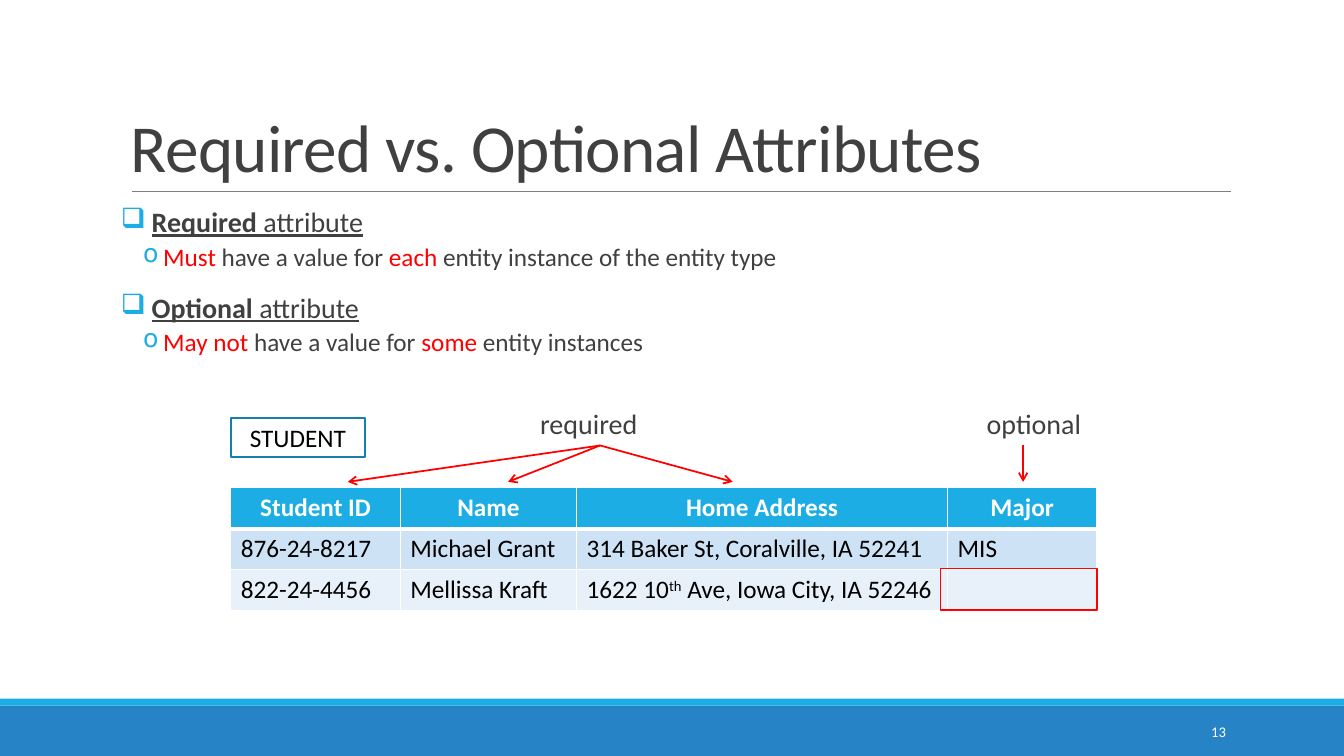
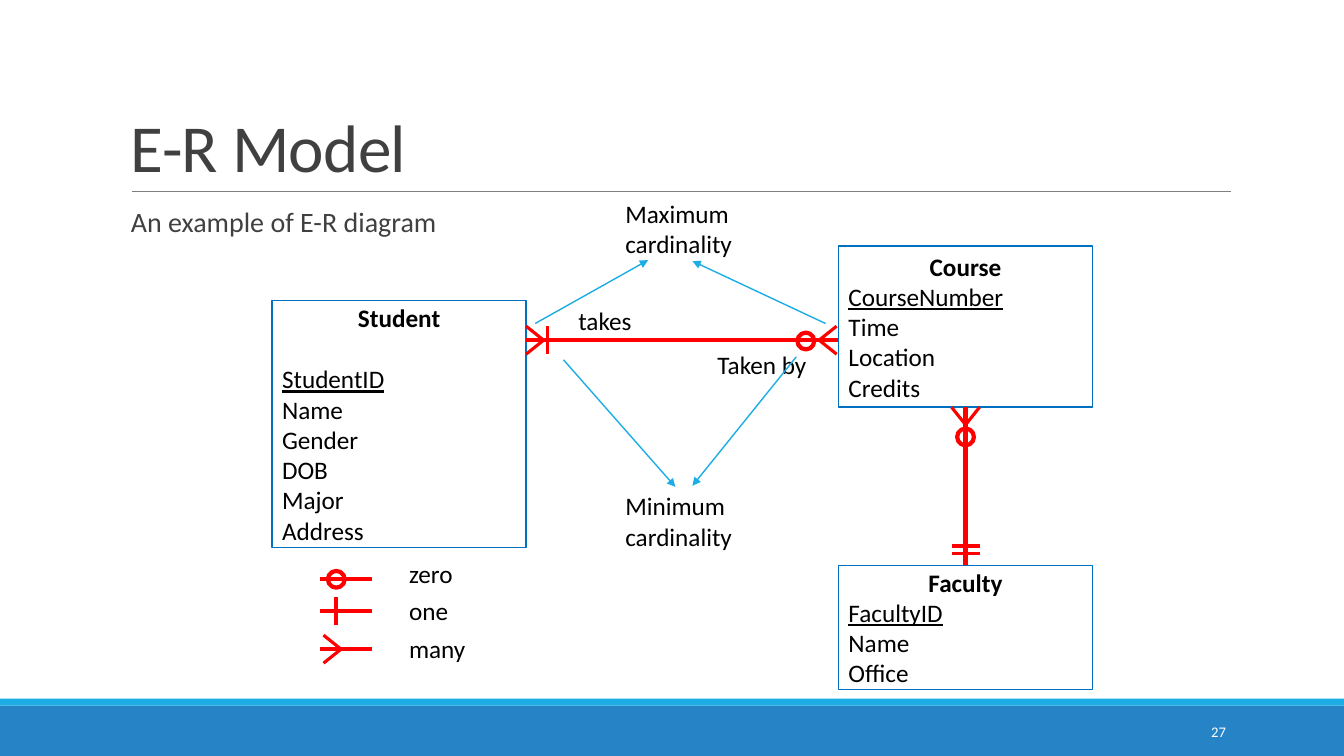
"""Build two slides on attributes and the E-R model."""
from lxml.etree import SubElement
from pptx import Presentation
from pptx.dml.color import RGBColor
from pptx.enum.shapes import MSO_CONNECTOR, MSO_SHAPE
from pptx.enum.text import MSO_ANCHOR, PP_ALIGN
from pptx.oxml.ns import qn
from pptx.util import Pt

COLORS = {
    "white": "FFFFFF", "black": "000000", "text": "404040", "rule": "808080",
    "band": "2683C6", "accent": "1CADE4", "accent_dark": "1580A9",
    "entity": "0070C0", "red": "FF0000", "row_odd": "CDE3F5", "row_even": "E8F1FA",
}


def rgb(name):
    return RGBColor.from_string(COLORS[name])


class Deck:
    """Hold the shared style and the current slide."""

    font = "Calibri"

    def __init__(self):
        self.presentation = Presentation()
        self.presentation.slide_width = Pt(960)
        self.presentation.slide_height = Pt(540)
        self.slide = None

    def new_slide(self, title, number):
        layout = self.presentation.slide_layouts[6]
        self.slide = self.presentation.slides.add_slide(layout)
        self.box(0, 504, 960, 36, fill="band")
        self.box(0, 499, 960, 5, fill="accent")
        self.line(94.3, 136.8, 879.1, 136.8, "rule", 0.5)
        heading = self.text([title], 86.4, 22.3, 792, 114.5, 48, "text", MSO_ANCHOR.BOTTOM)
        paragraph = heading.text_frame.paragraphs[0]
        paragraph.line_spacing = 0.85
        paragraph.runs[0]._r.get_or_add_rPr().set("spc", "-50")
        footer = self.text([str(number)], 779.8, 508.3, 103, 28.8, 10.5, "white", MSO_ANCHOR.MIDDLE)
        footer.text_frame.paragraphs[0].alignment = PP_ALIGN.RIGHT

    def set_runs(self, paragraph, content, size, color):
        """Set a string or (text, flags) pairs: b bold, u underline, r red, ^ superscript."""
        pieces = [(content, "")] if isinstance(content, str) else content
        paragraph.text = pieces[0][0]
        for piece, _ in pieces[1:]:
            paragraph.add_run().text = piece
        for run, (_, flags) in zip(paragraph.runs, pieces):
            run.font.name = self.font
            run.font.size = Pt(size)
            run.font.bold = "b" in flags
            run.font.underline = "u" in flags
            run.font.color.rgb = rgb("red" if "r" in flags else color)
            if "^" in flags:
                run._r.get_or_add_rPr().set("baseline", "30000")

    def fill_frame(self, frame, contents, size, color, anchor):
        frame.word_wrap = True
        frame.vertical_anchor = anchor
        for index, content in enumerate(contents):
            paragraph = frame.add_paragraph() if index else frame.paragraphs[0]
            paragraph.alignment = PP_ALIGN.LEFT
            self.set_runs(paragraph, content, size, color)

    def text(self, contents, left, top, width, height, size, color, anchor=MSO_ANCHOR.TOP):
        shape = self.slide.shapes.add_textbox(Pt(left), Pt(top), Pt(width), Pt(height))
        self.fill_frame(shape.text_frame, contents, size, color, anchor)
        return shape

    def label(self, contents, left, top, size=18, color="black"):
        height = 1.22 * size * len(contents) + 7.2
        return self.text(contents, left, top, 100, height, size, color)

    def box(self, left, top, width, height, fill=None, line=None, weight=1.25,
            kind=MSO_SHAPE.RECTANGLE):
        shape = self.slide.shapes.add_shape(kind, Pt(left), Pt(top), Pt(width), Pt(height))
        shape.shadow.inherit = False
        if fill:
            shape.fill.solid()
            shape.fill.fore_color.rgb = rgb(fill)
        else:
            shape.fill.background()
        if line:
            shape.line.color.rgb = rgb(line)
            shape.line.width = Pt(weight)
        else:
            shape.line.fill.background()
        return shape

    def line(self, x1, y1, x2, y2, color, weight, arrow=None):
        connector = self.slide.shapes.add_connector(
            MSO_CONNECTOR.STRAIGHT, Pt(x1), Pt(y1), Pt(x2), Pt(y2))
        connector.line.color.rgb = rgb(color)
        connector.line.width = Pt(weight)
        if arrow:
            SubElement(connector.line._get_or_add_ln(), qn("a:tailEnd"), type=arrow)
        SubElement(connector._element.spPr, qn("a:effectLst"))
        return connector

    def bullets(self, items, left, top, width, height):
        """Add (level, pieces) items as a two-level bullet list."""
        styles = [("❑", 22, 22, 20, 12, 2), ("o", 30.2, 14.4, 18, 2, 4)]
        shape = self.text([], left, top, width, height, 20, "text")
        frame = shape.text_frame
        frame.margin_left = frame.margin_right = 0
        for index, (level, pieces) in enumerate(items):
            mark, margin, hanging, size, before, after = styles[level]
            paragraph = frame.add_paragraph() if index else frame.paragraphs[0]
            properties = paragraph._p.get_or_add_pPr()
            properties.set("marL", str(Pt(margin)))
            properties.set("indent", str(-Pt(hanging)))
            bullet_color = SubElement(properties, qn("a:buClr"))
            SubElement(bullet_color, qn("a:srgbClr"), val=COLORS["accent"])
            SubElement(properties, qn("a:buChar"), char=mark)
            paragraph.line_spacing = 0.9
            paragraph.space_before = Pt(before if index else 0)
            paragraph.space_after = Pt(after)
            self.set_runs(paragraph, pieces, size, "text")

    def table(self, rows, left, top, widths, row_height):
        shape = self.slide.shapes.add_table(
            len(rows), len(widths), Pt(left), Pt(top), Pt(sum(widths)), Pt(row_height * len(rows)))
        table = shape.table
        table.horz_banding = False
        for column, width in zip(table.columns, widths):
            column.width = Pt(width)
        fills = ["accent", "row_odd", "row_even"]
        for row_index, row in enumerate(rows):
            table.rows[row_index].height = Pt(row_height)
            for column_index, content in enumerate(row):
                cell = table.cell(row_index, column_index)
                self.borders(cell, row_index)
                cell.fill.solid()
                cell.fill.fore_color.rgb = rgb(fills[row_index])
                paragraph = cell.text_frame.paragraphs[0]
                if row_index == 0:
                    paragraph.alignment = PP_ALIGN.CENTER
                    self.set_runs(paragraph, [(content, "b")], 18, "white")
                else:
                    self.set_runs(paragraph, content, 18, "black")

    def borders(self, cell, row_index):
        properties = cell._tc.get_or_add_tcPr()
        weights = {"L": 1, "R": 1, "T": 3 if row_index == 1 else 1, "B": 1 if row_index else 3}
        for side, weight in weights.items():
            border = SubElement(properties, qn(f"a:ln{side}"), w=str(Pt(weight)))
            fill = SubElement(border, qn("a:solidFill"))
            SubElement(fill, qn("a:srgbClr"), val=COLORS["white"])

    def entity(self, name, key, attributes, left, top, height, gap=0):
        shape = self.box(left, top, 181.4, height, line="entity")
        contents = [[(name, "b")], [(key, "u")], *attributes]
        self.fill_frame(shape.text_frame, contents, 18, "black", MSO_ANCHOR.MIDDLE)
        heading = shape.text_frame.paragraphs[0]
        heading.alignment = PP_ALIGN.CENTER
        heading.space_after = Pt(gap)
        return shape

    def many(self, x, y, along_x, along_y):
        """Draw a crow's foot opening at x, y with its tip along the given direction."""
        for side in (-10, 10):
            self.line(x + side * along_y, y + side * along_x,
                      x + 12.5 * along_x, y + 12.5 * along_y, "red", 2.25)

    def one(self, x, y, along_x=1, along_y=0):
        self.line(x - 10 * along_y, y - 10 * along_x,
                  x + 10 * along_y, y + 10 * along_x, "red", 2.25)

    def zero(self, x, y):
        self.box(x - 6, y - 6, 12, 12, line="red", weight=3, kind=MSO_SHAPE.OVAL)


def attributes_slide(deck):
    deck.new_slide("Required vs. Optional Attributes", 13)
    deck.bullets([
        (0, [("Required ", "bu"), ("attribute", "u")]),
        (1, [("Must", "r"), (" have a value for ", ""), ("each", "r"),
             (" entity instance of the entity type", "")]),
        (0, [("Optional ", "bu"), ("attribute", "u")]),
        (1, [("May not", "r"), (" have a value for ", ""), ("some", "r"),
             (" entity instances", "")]),
    ], 86.4, 145.4, 792, 363.6)
    deck.table([
        ["Student ID", "Name", "Home Address", "Major"],
        ["876-24-8217", "Michael Grant", "314 Baker St, Coralville, IA 52241", "MIS"],
        ["822-24-4456", "Mellissa Kraft",
         [("1622 10", ""), ("th", "^"), (" Ave, Iowa City, IA 52246", "")], ""],
    ], 164.9, 348.5, [121, 126, 265, 106.5], 29.2)
    student = deck.box(164.9, 298.8, 95.8, 27.4, "white", "accent_dark")
    deck.fill_frame(student.text_frame, ["STUDENT"], 18, "black", MSO_ANCHOR.MIDDLE)
    student.text_frame.paragraphs[0].alignment = PP_ALIGN.CENTER
    required = deck.label(["required"], 378.7, 286.6, 20, "text")
    for column_x in (248.4, 362.9, 523.4):
        arrow = deck.line(428.7, 318.2, column_x, 344.2, "red", 1.25, "arrow")
        arrow.begin_connect(required, 2)
    deck.label(["optional"], 697.7, 286.6, 20, "text")
    deck.line(730.8, 318.2, 730.8, 344.2, "red", 1.25, "arrow")
    deck.box(671.8, 406.1, 111.6, 29.5, line="red")


def model_slide(deck):
    deck.new_slide("E-R Model", 27)
    subtitle = deck.text(["An example of E-R diagram"], 86.4, 145.4, 792, 316.8, 20, "text")
    subtitle.text_frame.paragraphs[0].line_spacing = 0.9

    deck.entity("Student", "StudentID", ["Name", "Gender", "DOB", "Major", "Address"],
                194.4, 214.6, 176.4, gap=22)
    course = deck.entity("Course", "CourseNumber", ["Time", "Location", "Credits"],
                         599, 175.7, 115.2)
    faculty = deck.entity("Faculty", "FacultyID", ["Name", "Office"], 599, 403.9, 88.6)

    deck.line(375.8, 243, 598.3, 243, "red", 3)
    deck.many(375.8, 243, 1, 0)
    deck.one(391, 243)
    deck.many(597.6, 243, -1, 0)
    deck.zero(575.6, 243.6)
    deck.label(["takes"], 406.1, 214.6)
    deck.label(["Taken by"], 505.4, 245.9)

    teaches = deck.line(689.7, 290.9, 689.7, 403.9, "red", 3)
    teaches.begin_connect(course, 2)
    teaches.end_connect(faculty, 0)
    deck.many(689.7, 290.9, 0, 1)
    deck.zero(689.7, 312.1)
    for bar_y in (390, 395.3):
        deck.one(689.7, bar_y, 0, 1)

    legend = [("zero", 413.4), ("one", 436.3), ("many", 463.7)]
    for index, (name, line_y) in enumerate(legend):
        deck.line(228.5, line_y, 266, line_y, "red", 3)
        deck.label([name], 285.1, 395.3 + 26.7 * index)
    deck.zero(240.2, 413.8)
    deck.one(240, 436.3)
    deck.many(231.1, 463.7, 1, 0)

    for x1, y1, x2, y2 in [(402.5, 257, 482.4, 347.8), (568.8, 254.9, 494.6, 347),
                           (382.3, 231.1, 463, 185.8), (589.7, 231.1, 494.6, 186.5)]:
        deck.line(x1, y1, x2, y2, "accent", 1, "triangle")
    for word, top in (("Minimum", 347), ("Maximum", 138.2)):
        deck.label([word, "cardinality"], 439.6, top)


def main():
    deck = Deck()
    attributes_slide(deck)
    model_slide(deck)
    deck.presentation.save("out.pptx")


if __name__ == "__main__":
    main()
